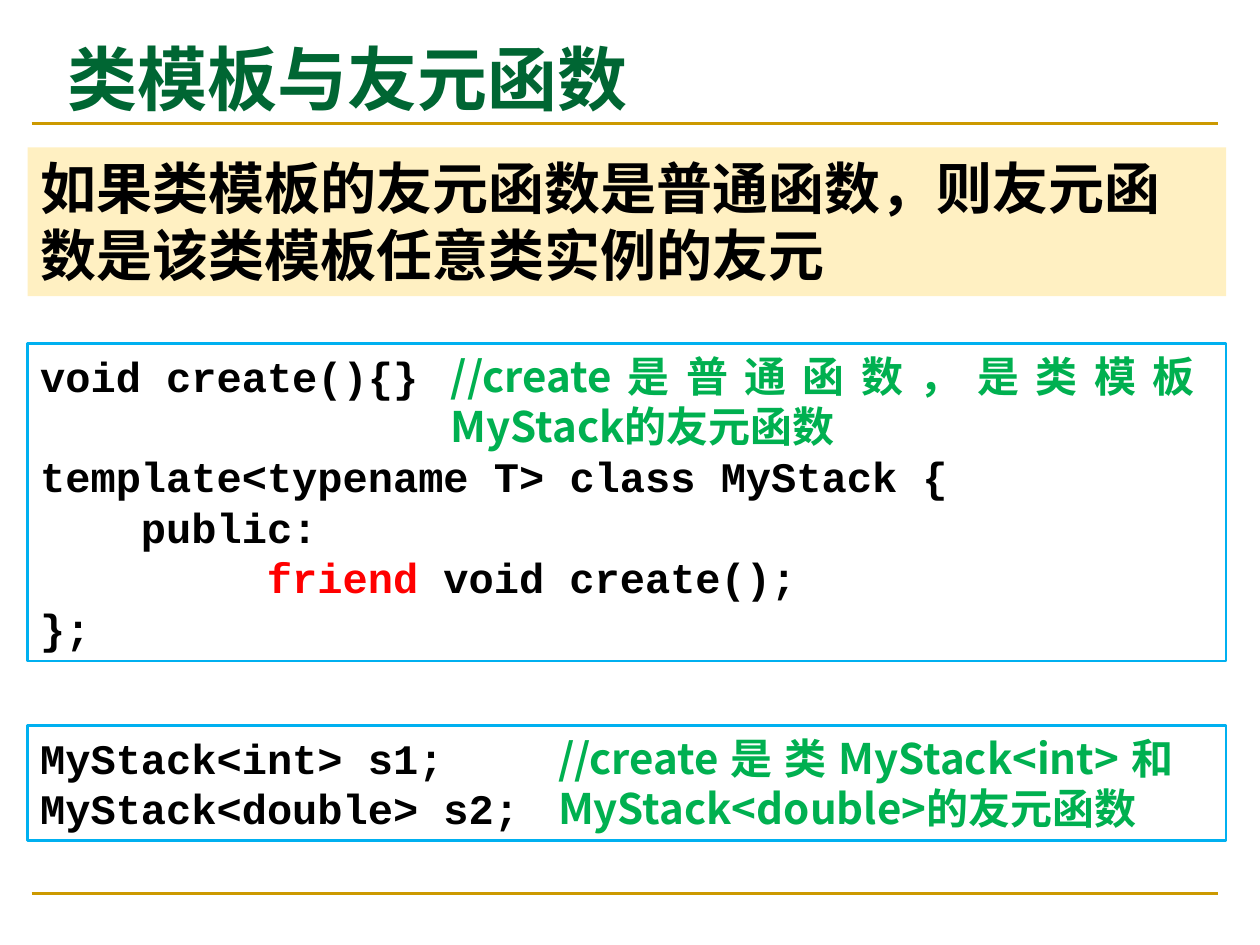
from dataclasses import dataclass
from typing import Optional

from lxml.etree import SubElement
from pptx import Presentation
from pptx.dml.color import RGBColor
from pptx.enum.shapes import MSO_CONNECTOR, MSO_SHAPE
from pptx.enum.text import MSO_ANCHOR, PP_ALIGN
from pptx.oxml.ns import qn
from pptx.util import Cm, Pt

COLORS = {
    "title": "006633",
    "rule": "CC9900",
    "summary": "FFF0C2",
    "border": "00B0F0",
    "code": "000000",
    "keyword": "FF0000",
    "comment": "00B050",
}
CJK = "Noto Sans CJK SC"
MONO = "Courier New"
LINE_RATIO = 1.2
FRAME_FORMAT = {
    "word_wrap": True,
    "vertical_anchor": MSO_ANCHOR.TOP,
    "margin_left": Cm(0.25),
    "margin_right": Cm(0.25),
    "margin_top": Cm(0.13),
    "margin_bottom": Cm(0.13),
}


@dataclass
class Run:
    text: str
    color: str = "code"


@dataclass
class Line:
    runs: list[Run]
    skipped_lines: int = 0


@dataclass
class Panel:
    left: float
    top: float
    width: float
    height: float
    lines: list[Line]
    font: str = MONO
    size: int = 24
    fill: Optional[str] = None
    border: Optional[str] = None
    align: PP_ALIGN = PP_ALIGN.LEFT


def rgb(name: str) -> RGBColor:
    return RGBColor.from_string(COLORS[name])


def apply(target, values: dict) -> None:
    for key, value in values.items():
        setattr(target, key, value)


def add_run(paragraph, run: Run, font: str, size: int) -> None:
    piece = paragraph.add_run()
    piece.text = run.text
    apply(piece.font, {"name": font, "size": Pt(size), "bold": True})
    piece.font.color.rgb = rgb(run.color)
    SubElement(piece.font._element, qn("a:ea")).set("typeface", font)


def write_lines(frame, panel: Panel) -> None:
    apply(frame, FRAME_FORMAT)
    pitch = panel.size * LINE_RATIO
    for index, line in enumerate(panel.lines):
        paragraph = frame.add_paragraph() if index else frame.paragraphs[0]
        apply(paragraph, {"alignment": panel.align, "line_spacing": Pt(pitch)})
        if line.skipped_lines:
            paragraph.space_before = Pt(pitch * line.skipped_lines)
        for run in line.runs:
            add_run(paragraph, run, panel.font, panel.size)


def draw_panel(slide, panel: Panel) -> None:
    place = [Cm(v) for v in (panel.left, panel.top, panel.width, panel.height)]
    if panel.fill or panel.border:
        box = slide.shapes.add_shape(MSO_SHAPE.RECTANGLE, *place)
        box.shadow.inherit = False
    else:
        box = slide.shapes.add_textbox(*place)
    if panel.fill:
        box.fill.solid()
        box.fill.fore_color.rgb = rgb(panel.fill)
    else:
        box.fill.background()
    if panel.border:
        box.line.color.rgb = rgb(panel.border)
        box.line.width = Pt(1.5)
    else:
        box.line.fill.background()
    write_lines(box.text_frame, panel)


def draw_rule(slide, y: float) -> None:
    rule = slide.shapes.add_connector(
        MSO_CONNECTOR.STRAIGHT, Cm(0.64), Cm(y), Cm(24.56), Cm(y))
    rule.line.color.rgb = rgb("rule")
    rule.line.width = Pt(1.5)
    SubElement(rule._element.spPr, qn("a:effectLst"))


def draw_title(slide, text: str) -> None:
    title = slide.shapes.title
    apply(title, {"left": Cm(1.12), "top": Cm(0.53),
                  "width": Cm(16.18), "height": Cm(2.06)})
    apply(title.text_frame, {**FRAME_FORMAT, "vertical_anchor": MSO_ANCHOR.MIDDLE})
    heading = title.text_frame.paragraphs[0]
    heading.alignment = PP_ALIGN.LEFT
    add_run(heading, Run(text, "title"), CJK, 40)


def code(text: str, skipped_lines: int = 0) -> Line:
    return Line([Run(text)], skipped_lines)


def comment(left: float, top: float, width: float, text: str) -> Panel:
    return Panel(left, top, width, 2.31, [Line([Run(text, "comment")])],
                 font=CJK, align=PP_ALIGN.JUSTIFY)


LEFT, WIDTH = 0.56, 24.16
CLASS_TOP, USAGE_TOP = 6.93, 14.63
PANELS = [
    Panel(LEFT, 2.97, WIDTH, 3.0,
          [code("如果类模板的友元函数是普通函数，则友元函数是该类模板任意类实例的友元")],
          font=CJK, size=32, fill="summary"),
    Panel(LEFT, CLASS_TOP, WIDTH, 6.4, [
        code("void create(){}"),
        code("template<typename T> class MyStack {", skipped_lines=1),
        code("    public:"),
        Line([Run("         "), Run("friend", "keyword"), Run(" void create();")]),
        code("};"),
    ], border="border"),
    comment(8.84, CLASS_TOP, 15.49, "//create是普通函数，是类模板MyStack的友元函数"),
    Panel(LEFT, USAGE_TOP, WIDTH, 2.31,
          [code("MyStack<int> s1;"), code("MyStack<double> s2;")], border="border"),
    comment(11.0, USAGE_TOP, 12.9,
            "//create是类MyStack<int>和MyStack<double>的友元函数"),
]


def main() -> None:
    deck = Presentation()
    apply(deck, {"slide_width": Cm(25.4), "slide_height": Cm(19.05)})
    slide = deck.slides.add_slide(deck.slide_layouts[5])
    for y in (18.01, 2.49):
        draw_rule(slide, y)
    draw_title(slide, "类模板与友元函数")
    for panel in PANELS:
        draw_panel(slide, panel)
    deck.save("out.pptx")


if __name__ == "__main__":
    main()
